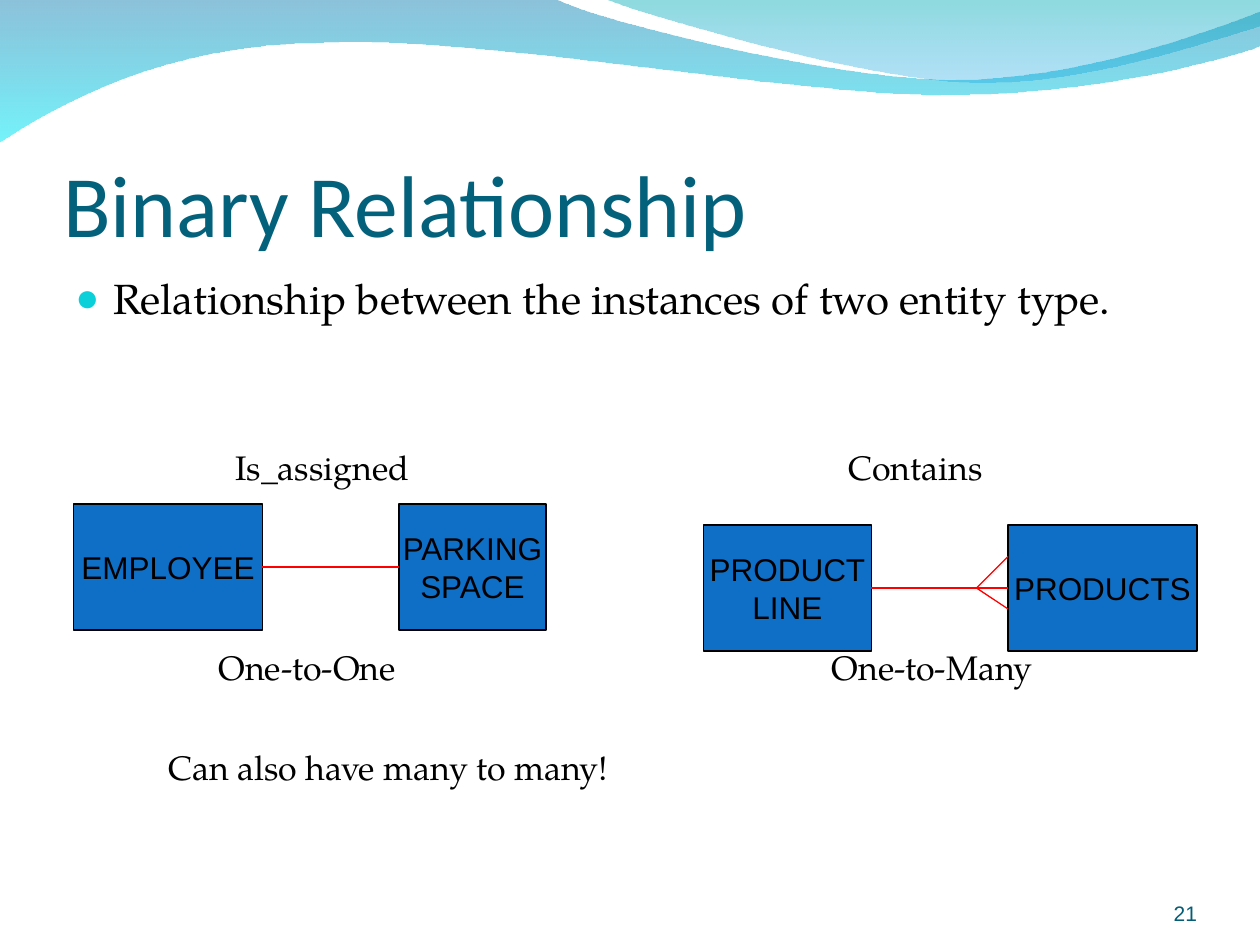
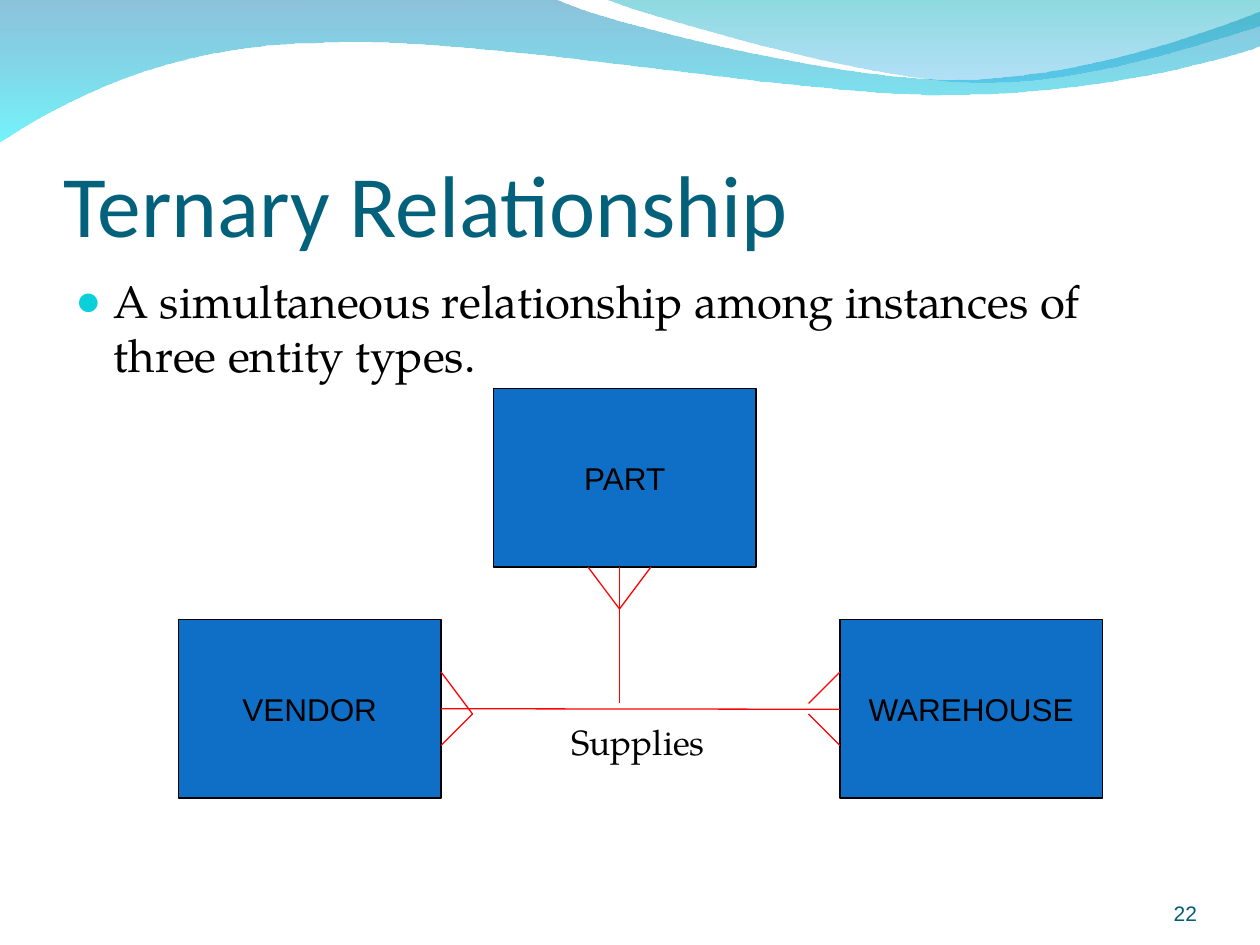
from lxml import etree
from pptx import Presentation
from pptx.dml.color import RGBColor
from pptx.enum.shapes import MSO_CONNECTOR, MSO_SHAPE
from pptx.enum.text import MSO_ANCHOR, MSO_AUTO_SIZE, PP_ALIGN
from pptx.oxml.ns import qn
from pptx.util import Inches, Pt

RECT = MSO_SHAPE.RECTANGLE
LINE = MSO_CONNECTOR.STRAIGHT
TOP, MID, LOW = MSO_ANCHOR.TOP, MSO_ANCHOR.MIDDLE, MSO_ANCHOR.BOTTOM
LEFT, MIDST, RIGHT = PP_ALIGN.LEFT, PP_ALIGN.CENTER, PP_ALIGN.RIGHT
FIXED = MSO_AUTO_SIZE.NONE

COLS, ROWS = 120, 90
UNIT = Inches(10) // COLS
HEAD, SANS, SERIF = "Calibri", "Arial", "TeX Gyre Pagella"
HUES = {
    "title": "04617B", "page": "045C75", "ink": "000000",
    "box": "0F6FC6", "link": "FF0000", "dot": "0BD0D9",
}

# Each wave, in hundredths of an inch: start, path steps
# (one point = line, three points = curve), colour stops with opacity
WAVES = [
    ((0, -1),
     [[(440, -1)], [(476, 17), (664, 63), (758, 63)],
      [(853, 63), (958, 26), (1000, 9)], [(1001, 36)],
      [(983, 44), (870, 76), (746, 75)],
      [(622, 75), (382, 28), (257, 34)],
      [(129, 35), (46, 83), (-1, 113)]],
     [("0079AF", 45), ("00EBF8", 55)]),
    ((479, -1),
     [[(509, 11), (682, 62), (769, 65)],
      [(856, 69), (961, 32), (1000, 21)], [(1000, 0)]],
     [("00ADB6", 45), ("009BE5", 30)]),
]


def hue(name):
    return RGBColor.from_string(HUES[name])


def grid(*cells):
    """Turn grid columns and rows into lengths."""
    return [round(cell * UNIT) for cell in cells]


def bend(shape, steps):
    """Join the three points of each curve step into one Bezier segment."""
    nodes = list(shape.element.iter(qn("a:lnTo")))
    for step in steps:
        group, nodes = nodes[:len(step)], nodes[len(step):]
        if len(step) == 3:
            curve = etree.Element(qn("a:cubicBezTo"))
            group[0].addprevious(curve)
            for node in group:
                curve.append(node[0])
                node.getparent().remove(node)


def add_wave(slide, start, steps, stops):
    pen = slide.shapes.build_freeform(*start, scale=Inches(1) / 100)
    pen.add_line_segments([spot for step in steps for spot in step],
                          close=True)
    wave = pen.convert_to_shape()
    bend(wave, steps)
    wave.shadow.inherit = False
    wave.line.fill.background()
    wave.fill.gradient()
    wave.fill.gradient_angle = 270
    for stop, (tone, _) in zip(wave.fill.gradient_stops, stops):
        stop.color.rgb = RGBColor.from_string(tone)
    for node, (_, share) in zip(wave.element.iter(qn("a:srgbClr")), stops):
        etree.SubElement(node, qn("a:alpha"), val=str(share * 1000))
    return wave


def dress(layout, slide):
    """Place the waves on the layout, so that every slide shows them."""
    for spot, wave in enumerate(WAVES, 2):
        layout.shapes.element.insert(spot, add_wave(slide, *wave).element)


def write(frame, lines, size, font, tone, align=LEFT, anchor=TOP,
          pads=(0, 0, 0, 0), wrap=True):
    frame.auto_size = FIXED
    frame.word_wrap = wrap
    frame.vertical_anchor = anchor
    (frame.margin_left, frame.margin_top,
     frame.margin_right, frame.margin_bottom) = map(Inches, pads)
    for i, line in enumerate(lines):
        para = frame.add_paragraph() if i else frame.paragraphs[0]
        para.alignment = align
        run = para.add_run()
        run.text = line
        run.font.size, run.font.name = Pt(size), font
        run.font.color.rgb = hue(tone)


def add_text(slide, area, text, size, font=SERIF, tone="ink", **look):
    box = slide.shapes.add_textbox(*grid(*area))
    write(box.text_frame, [text], size, font, tone, **look)
    return box


def add_label(slide, col, mid, text, size):
    """Write one line from a column, centred on a row."""
    add_text(slide, (col, mid - 2.5, 45, 5), text, size, anchor=MID)


def add_point(slide, text, size):
    box = add_text(slide, (6, 25.4, 108, 11), text, size,
                   pads=(0.1, 0.05, 0.1, 0.05))
    props = box.text_frame.paragraphs[0]._p.get_or_add_pPr()
    props.set("marL", str(Inches(0.3)))
    props.set("indent", str(-Inches(0.3)))
    tint = etree.SubElement(props, qn("a:buClr"))
    etree.SubElement(tint, qn("a:srgbClr"), val=HUES["dot"])
    etree.SubElement(props, qn("a:buSzPct"), val="95000")
    etree.SubElement(props, qn("a:buFont"), typeface=SANS)
    etree.SubElement(props, qn("a:buChar"), char="●")


def add_box(slide, area, *lines):
    box = slide.shapes.add_shape(RECT, *grid(*area))
    box.shadow.inherit = False
    box.fill.solid()
    box.fill.fore_color.rgb = hue("box")
    box.line.color.rgb = hue("ink")
    box.line.width = Pt(0.75)
    write(box.text_frame, lines, 18, SANS, "ink", MIDST, MID,
          (0.1, 0.05, 0.1, 0.05), wrap=False)


def add_links(slide, *links):
    for ends in links:
        link = slide.shapes.add_connector(LINE, *grid(*ends))
        link.line.color.rgb = hue("link")
        link.line.width = Pt(0.75)
        etree.SubElement(link.element.spPr, qn("a:effectLst"))


def add_slide(deck, layout, title, page):
    slide = deck.slides.add_slide(layout)
    head = slide.shapes.title
    head.left, head.top, head.width, head.height = grid(6, 9.25, 108, 15)
    write(head.text_frame, [title], 50, HEAD, "title", anchor=LOW,
          pads=(0, 0.05, 0, 0))
    add_text(slide, (104, 83.4, 10, 4.8), page, 12, SANS, "page",
             align=RIGHT, anchor=LOW)
    return slide


def fill_binary(slide):
    add_point(slide, "Relationship between the instances of two entity type.",
              24)
    for col, row, text in [(22.4, 44.5, "Is_assigned"),
                           (80.8, 44.5, "Contains"),
                           (20.8, 63.5, "One-to-One"),
                           (79.2, 63.5, "One-to-Many"),
                           (16, 73, "Can also have many to many!")]:
        add_label(slide, col, row, text, 19.4)
    add_box(slide, (7, 48, 18, 12), "EMPLOYEE")
    add_box(slide, (38, 48, 14, 12), "PARKING", "SPACE")
    add_box(slide, (67, 50, 16, 12), "PRODUCT", "LINE")
    add_box(slide, (96, 50, 18, 12), "PRODUCTS")
    add_links(slide, (25, 54, 38, 54), (83, 56, 96, 56),
              (93, 56, 96, 53), (93, 56, 96, 58))


def fill_ternary(slide):
    add_point(slide, "A simultaneous relationship among instances of "
              "three entity types.", 26)
    add_label(slide, 54.4, 70.6, "Supplies", 20)
    for col, row, name in [(17, 59, "VENDOR"), (47, 37, "PART"),
                           (80, 59, "WAREHOUSE")]:
        add_box(slide, (col, row, 25, 17), name)
    add_links(slide, (42, 67.5, 80, 67.55), (59, 54, 59, 67),
              (77, 67, 80, 64), (77, 68, 80, 71),
              (59, 58, 56, 54), (59, 58, 62, 54),
              (42, 71, 45, 68), (42, 64, 45, 68))


def main():
    deck = Presentation()
    deck.slide_width, deck.slide_height = COLS * UNIT, ROWS * UNIT
    layout = deck.slide_layouts[5]
    binary = add_slide(deck, layout, "Binary Relationship", "21")
    dress(layout, binary)
    fill_binary(binary)
    fill_ternary(add_slide(deck, layout, "Ternary Relationship", "22"))
    deck.save("out.pptx")


if __name__ == "__main__":
    main()
